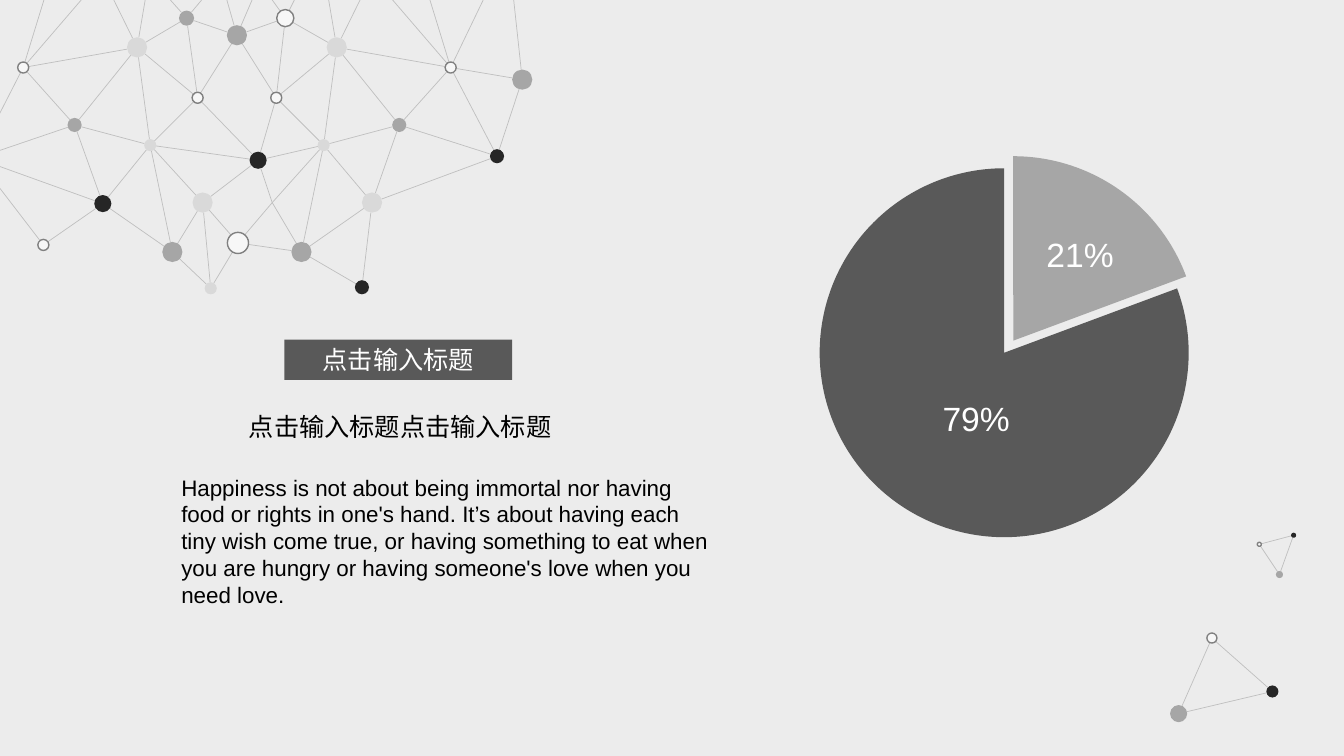
import itertools
import math
from dataclasses import dataclass
from typing import NamedTuple, Optional

import pptx
import pptx.dml.color
import pptx.enum.shapes
import pptx.enum.text
import pptx.oxml.ns
import pptx.util
from lxml import etree

Inches = pptx.util.Inches
Kind = pptx.enum.shapes.MSO_SHAPE
Align = pptx.enum.text.PP_ALIGN


@dataclass(frozen=True)
class Theme:
    font: str = "Arial"
    background: str = "ECECEC"
    link: str = "BFBFBF"
    ring: str = "808080"
    hollow: str = "F7F7F7"
    pale: str = "D9D9D9"
    middle: str = "A6A6A6"
    dark: str = "595959"
    black: str = "262626"
    ink: str = "000000"
    white: str = "FFFFFF"
    link_width: float = 0.5
    ring_width: float = 1
    body_size: int = 16
    heading_size: int = 18
    percent_size: int = 24


THEME = Theme()


class Node(NamedTuple):
    x: float
    y: float
    size: float = 0
    color: Optional[str] = None


class Slice(NamedTuple):
    left: float
    top: float
    start: float
    end: float
    color: str


class Caption(NamedTuple):
    left: float
    top: float
    width: float
    height: float
    text: str
    size: int
    color: str


MIRROR_AXIS = 2.35

PAIRED_NODES = {
    "rim": Node(4.47, 0.67, 0.11, THEME.hollow),
    "brow": Node(3.34, 0.47, 0.2, THEME.pale),
    "eye": Node(2.74, 0.97, 0.11, THEME.hollow),
    "cheek": Node(3.96, 1.24, 0.14, THEME.middle),
    "core": Node(3.21, 1.44, 0.12, THEME.pale),
    "chin": Node(2.99, 2.5, 0.2, THEME.middle),
    "brow sky": Node(3.64, -0.14),
    "rim sky": Node(3.74, -0.18),
    "outer sky": Node(4.2, -0.21),
    "brow edge": Node(3.26, 0),
    "crown edge": Node(2.7, 0),
}
CENTRE_NODES = {
    "top": Node(2.35, 0.35, 0.2, THEME.middle),
    "heart": Node(2.56, 1.59, 0.17, THEME.black),
    "base": Node(2.36, 2.41, 0.21, THEME.hollow),
}
RIGHT_NODES = {
    "crown": Node(2.83, 0.18, 0.17, THEME.hollow),
    "jaw": Node(3.69, 2.01, 0.2, THEME.pale),
    "temple": Node(4.93, 1.55, 0.14, THEME.black),
    "neck": Node(2.7, 2.01),
    "ear": Node(5.18, 0.79, 0.2, THEME.middle),
    "tip": Node(3.59, 2.85, 0.14, THEME.black),
    "top edge": Node(2.5, 0),
    "side edge": Node(2.92, 0),
    "temple sky": Node(4.86, -0.14),
    "ear sky": Node(5.08, -0.14),
}
LEFT_NODES = {
    "crown": Node(1.85, 0.18, 0.15, THEME.middle),
    "jaw": Node(1.02, 2.02, 0.17, THEME.black),
    "temple": Node(-0.23, 1.57),
    "neck": Node(2.01, 2.01, 0.2, THEME.pale),
    "foot": Node(2.09, 2.86, 0.12, THEME.pale),
    "tail": Node(0.43, 2.43, 0.11, THEME.hollow),
    "top edge": Node(2.25, 0),
    "side edge": Node(1.69, 0),
}

SHARED_LINKS = {
    "rim": ("rim sky", "outer sky", "brow", "cheek", "temple"),
    "brow": ("brow sky", "brow edge", "crown", "eye", "cheek", "core"),
    "crown": ("crown edge", "side edge", "eye", "top"),
    "top": ("top edge", "eye"),
    "core": ("eye", "cheek", "jaw", "chin", "neck", "heart"),
    "jaw": ("cheek", "temple", "chin"),
    "heart": ("eye", "neck"),
    "neck": ("chin", "base"),
    "cheek": ("temple",),
}
RIGHT_LINKS = {
    "rim": ("temple sky", "ear"),
    "ear": ("temple", "ear sky"),
    "tip": ("jaw", "chin"),
    "base": ("chin",),
}
LEFT_LINKS = {
    "tail": ("temple", "jaw"),
    "foot": ("neck", "chin", "base"),
}

TRIANGLES = [
    [Node(12.62, 6.86, 0.12, THEME.black), Node(11.69, 7.08, 0.17, THEME.middle),
     Node(12.02, 6.33, 0.1, THEME.hollow)],
    [Node(12.83, 5.31, 0.05, THEME.black), Node(12.69, 5.7, 0.07, THEME.middle),
     Node(12.49, 5.4, 0.04, THEME.hollow)],
]

PIE_SIZE = 3.66
TWELVE_O_CLOCK = 270
SLICE_BOUNDARY = 339.6
ADJUSTMENT_PER_DEGREE = 0.6
SLICES = [
    Slice(8.13, 1.67, SLICE_BOUNDARY, TWELVE_O_CLOCK, THEME.dark),
    Slice(8.22, 1.55, TWELVE_O_CLOCK, SLICE_BOUNDARY, THEME.middle),
]

HAPPINESS = (
    "Happiness is not about being immortal nor having food or rights in one's hand. "
    "It’s about having each tiny wish come true, or having something to eat when you "
    "are hungry or having someone's love when you need love."
)
CAPTIONS = [
    Caption(10.28, 2.27, 1.01, 0.5, "21%", THEME.percent_size, THEME.white),
    Caption(9.25, 3.9, 0.93, 0.5, "79%", THEME.percent_size, THEME.white),
    Caption(1.7, 4.65, 5.43, 1.45, HAPPINESS, THEME.body_size, THEME.ink),
    Caption(2.37, 4.03, 4.4, 0.4, "点击输入标题点击输入标题", THEME.heading_size, THEME.ink),
]
BADGE = Caption(2.82, 3.37, 2.26, 0.4, "点击输入标题", THEME.heading_size, THEME.white)


def rgb(color: str) -> pptx.dml.color.RGBColor:
    return pptx.dml.color.RGBColor.from_string(color)


def mirror(node: Node) -> Node:
    return node._replace(x=2 * MIRROR_AXIS - node.x)


def node_pairs(nodes: dict, *link_tables: dict) -> list:
    return [(nodes[hub], nodes[end])
            for table in link_tables for hub, ends in table.items() for end in ends]


def rim_point(node: Node, toward: Node) -> tuple:
    reach = node.size / 2 / math.dist(node[:2], toward[:2])
    return node.x + reach * (toward.x - node.x), node.y + reach * (toward.y - node.y)


def draw_link(shapes, start: Node, end: Node) -> None:
    ends = rim_point(start, end) + rim_point(end, start)
    link = shapes.add_connector(pptx.enum.shapes.MSO_CONNECTOR.STRAIGHT, *map(Inches, ends))
    link.line.color.rgb = rgb(THEME.link)
    link.line.width = pptx.util.Pt(THEME.link_width)
    etree.SubElement(link._element.spPr, pptx.oxml.ns.qn("a:effectLst"))


def draw_solid(shapes, kind: Kind, box: tuple, color: str):
    solid = shapes.add_shape(kind, *map(Inches, box))
    solid.shadow.inherit = False
    solid.fill.solid()
    solid.fill.fore_color.rgb = rgb(color)
    solid.line.fill.background()
    return solid


def draw_node(shapes, node: Node) -> None:
    radius = node.size / 2
    box = (node.x - radius, node.y - radius, node.size, node.size)
    dot = draw_solid(shapes, Kind.OVAL, box, node.color)
    if node.color == THEME.hollow:
        dot.line.color.rgb = rgb(THEME.ring)
        dot.line.width = pptx.util.Pt(THEME.ring_width)


def draw_network(shapes, pairs: list) -> None:
    for start, end in pairs:
        draw_link(shapes, start, end)
    for node in dict.fromkeys(itertools.chain.from_iterable(pairs)):
        if node.color:
            draw_node(shapes, node)


def draw_slice(shapes, part: Slice) -> None:
    wedge = draw_solid(shapes, Kind.PIE, (part.left, part.top, PIE_SIZE, PIE_SIZE), part.color)
    for index, angle in enumerate((part.start, part.end)):
        wedge.adjustments[index] = angle * ADJUSTMENT_PER_DEGREE


def write(frame, caption: Caption, align: Align) -> None:
    frame.word_wrap = True
    paragraph = frame.paragraphs[0]
    paragraph.text = caption.text
    paragraph.alignment = align
    paragraph.font.name = THEME.font
    paragraph.font.size = pptx.util.Pt(caption.size)
    paragraph.font.color.rgb = rgb(caption.color)


def main() -> None:
    deck = pptx.Presentation()
    deck.slide_width, deck.slide_height = Inches(13.33), Inches(7.5)
    slide = deck.slides.add_slide(deck.slide_layouts[6])
    slide.background.fill.solid()
    slide.background.fill.fore_color.rgb = rgb(THEME.background)
    shapes = slide.shapes
    for part in SLICES:
        draw_slice(shapes, part)
    right = PAIRED_NODES | CENTRE_NODES | RIGHT_NODES
    mirrored = {name: mirror(node) for name, node in PAIRED_NODES.items()}
    left = mirrored | CENTRE_NODES | LEFT_NODES
    draw_network(shapes, node_pairs(right, SHARED_LINKS, RIGHT_LINKS)
                 + node_pairs(left, SHARED_LINKS, LEFT_LINKS))
    for corners in TRIANGLES:
        draw_network(shapes.add_group_shape().shapes, list(itertools.combinations(corners, 2)))
    for caption in CAPTIONS:
        write(shapes.add_textbox(*map(Inches, caption[:4])).text_frame, caption, Align.LEFT)
    badge = draw_solid(shapes, Kind.RECTANGLE, BADGE[:4], THEME.dark)
    write(badge.text_frame, BADGE, Align.CENTER)
    deck.save("out.pptx")


if __name__ == "__main__":
    main()
